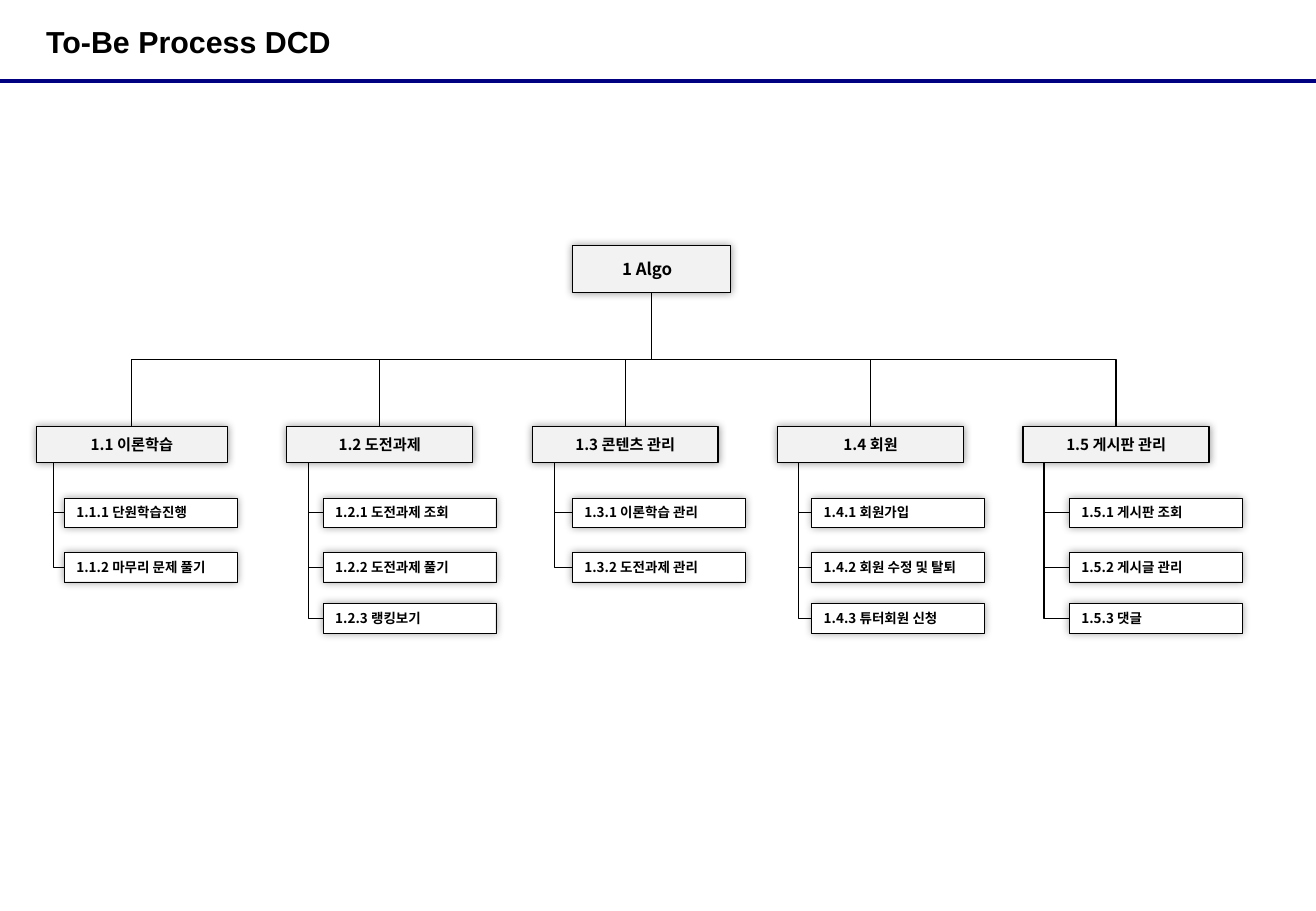
from lxml.etree import SubElement
from pptx import Presentation
from pptx.dml.color import RGBColor
from pptx.enum.shapes import MSO_CONNECTOR, MSO_SHAPE
from pptx.enum.text import MSO_ANCHOR, PP_ALIGN
from pptx.oxml.ns import qn
from pptx.util import Inches, Pt

# Content: head text, head left, head width, stem left, leaf left, leaves
TITLE = "To-Be Process DCD"
ROOT = "1 Algo"
COLS = [
    ("1.1 이론학습", 3.0, 15.7, 4.4, 5.3,
     ["1.1.1 단원학습진행", "1.1.2 마무리 문제 풀기"]),
    ("1.2 도전과제", 23.6, 15.3, 25.4, 26.6,
     ["1.2.1 도전과제 조회", "1.2.2 도전과제 풀기", "1.2.3 랭킹보기"]),
    ("1.3 콘텐츠 관리", 43.8, 15.3, 45.6, 47.1,
     ["1.3.1 이론학습 관리", "1.3.2 도전과제 관리"]),
    ("1.4 회원", 64.0, 15.3, 65.7, 66.8,
     ["1.4.1 회원가입", "1.4.2 회원 수정 및 탈퇴", "1.4.3 튜터회원 신청"]),
    ("1.5 게시판 관리", 84.2, 15.3, 85.9, 88.0,
     ["1.5.1 게시판 조회", "1.5.2 게시글 관리", "1.5.3 댓글"]),
]

# Grid of tenth-inch cells
WIDE, HIGH = 108.3, 75
RULE = 6.7
ROOT_BOX = (47.1, 20.2, 13, 3.9)
HEAD_TOP, HEAD_H = 35.1, 3
LEAF_TOPS, LEAF_W, LEAF_H = (41, 45.5, 49.7), 14.2, 2.4

THEME = {
    "ink": RGBColor(0, 0, 0),
    "navy": RGBColor(0, 0, 128),
    "gray": RGBColor(242, 242, 242),
    "white": RGBColor(255, 255, 255),
    "sans": "Arial",
    "hangul": "Noto Sans CJK KR",
    "thin": 0.25, "line": 0.75, "thick": 2.25,
    "blur": 5, "shade": 40,
}
MID, LEFT = PP_ALIGN.CENTER, PP_ALIGN.LEFT
KINDS = {
    "root": {"fill": "gray", "line": "line", "size": 10, "align": MID},
    "head": {"fill": "gray", "line": "line", "size": 9, "align": MID},
    "leaf": {"fill": "white", "line": "thin", "size": 8, "align": LEFT},
}


def cell(n):
    return Inches(n / 10)


def apply(obj, vals):
    for key, val in vals.items():
        setattr(obj, key, val)


def write(shape, text, size, font, align):
    frame = shape.text_frame
    apply(frame, {"word_wrap": True, "vertical_anchor": MSO_ANCHOR.MIDDLE})
    para = frame.paragraphs[0]
    para.alignment = align
    run = para.add_run()
    run.text = text
    apply(run.font, {"name": font, "size": Pt(size), "bold": True})
    run.font.color.rgb = THEME["ink"]
    SubElement(run.font._element, qn("a:ea"), typeface=font)


def glow(shape):
    shape.shadow.inherit = False
    effects = shape._element.spPr.find(qn("a:effectLst"))
    outer = SubElement(effects, qn("a:outerShdw"), algn="ctr", rotWithShape="0",
                       blurRad=str(Pt(THEME["blur"])), dist="0", dir="0")
    tint = SubElement(outer, qn("a:srgbClr"), val=str(THEME["ink"]))
    SubElement(tint, qn("a:alpha"), val=str(THEME["shade"] * 1000))


def box(kind, text, x, y, w, h):
    form = KINDS[kind]
    shape = slide.shapes.add_shape(MSO_SHAPE.RECTANGLE, *map(cell, (x, y, w, h)))
    shape.fill.solid()
    shape.fill.fore_color.rgb = THEME[form["fill"]]
    shape.line.color.rgb = THEME["ink"]
    shape.line.width = Pt(THEME[form["line"]])
    glow(shape)
    write(shape, text, form["size"], THEME["hangul"], form["align"])
    return shape


def link(kind, x1, y1, x2, y2, color="ink", width="line"):
    line = slide.shapes.add_connector(kind, *map(cell, (x1, y1, x2, y2)))
    line.line.color.rgb = THEME[color]
    line.line.width = Pt(THEME[width])
    SubElement(line._element.spPr, qn("a:effectLst"))
    return line


def elbow(x1, y1, x2, y2, preset):
    """Leave (x1, y1) downward: the box is turned a quarter about its centre."""
    line = link(MSO_CONNECTOR.ELBOW, x1, y1, x2, y2)
    w, h = y2 - y1, abs(x2 - x1)
    apply(line, {"left": cell((x1 + x2 - w) / 2), "top": cell((y1 + y2 - h) / 2),
                 "width": cell(w), "height": cell(h)})
    props = line._element.spPr
    props.find(qn("a:prstGeom")).set("prst", preset)
    frame = props.find(qn("a:xfrm"))
    for key in ("flipH", "flipV"):
        frame.attrib.pop(key, None)
    frame.set("rot", str((270 if x2 > x1 else 90) * 60000))
    if x2 > x1:
        frame.set("flipH", "1")


deck = Presentation()
apply(deck, {"slide_width": cell(WIDE), "slide_height": cell(HIGH)})
slide = deck.slides.add_slide(deck.slide_layouts[6])

# Title and rule
link(MSO_CONNECTOR.STRAIGHT, 0, RULE, WIDE, RULE, "navy", "thick")
title = slide.shapes.add_textbox(*map(cell, (3.8, 0, 70.8, 6.8)))
apply(title.text_frame, dict.fromkeys(
    ("margin_left", "margin_top", "margin_right", "margin_bottom"), 0))
write(title, TITLE, 18, THEME["sans"], LEFT)

# Root
root = box("root", ROOT, *ROOT_BOX)
root.text_frame.margin_left = cell(0.3)
hub, foot = ROOT_BOX[0] + ROOT_BOX[2] / 2, ROOT_BOX[1] + ROOT_BOX[3]

# Branches
for name, x, w, stem, leaf, items in COLS:
    elbow(hub, foot, x + w / 2, HEAD_TOP, "bentConnector3")
    for item, top in zip(items, LEAF_TOPS):
        elbow(stem, HEAD_TOP + HEAD_H, leaf, top + LEAF_H / 2, "bentConnector2")
        box("leaf", item, leaf, top, LEAF_W, LEAF_H)
    box("head", name, x, HEAD_TOP, w, HEAD_H)

deck.save("out.pptx")
